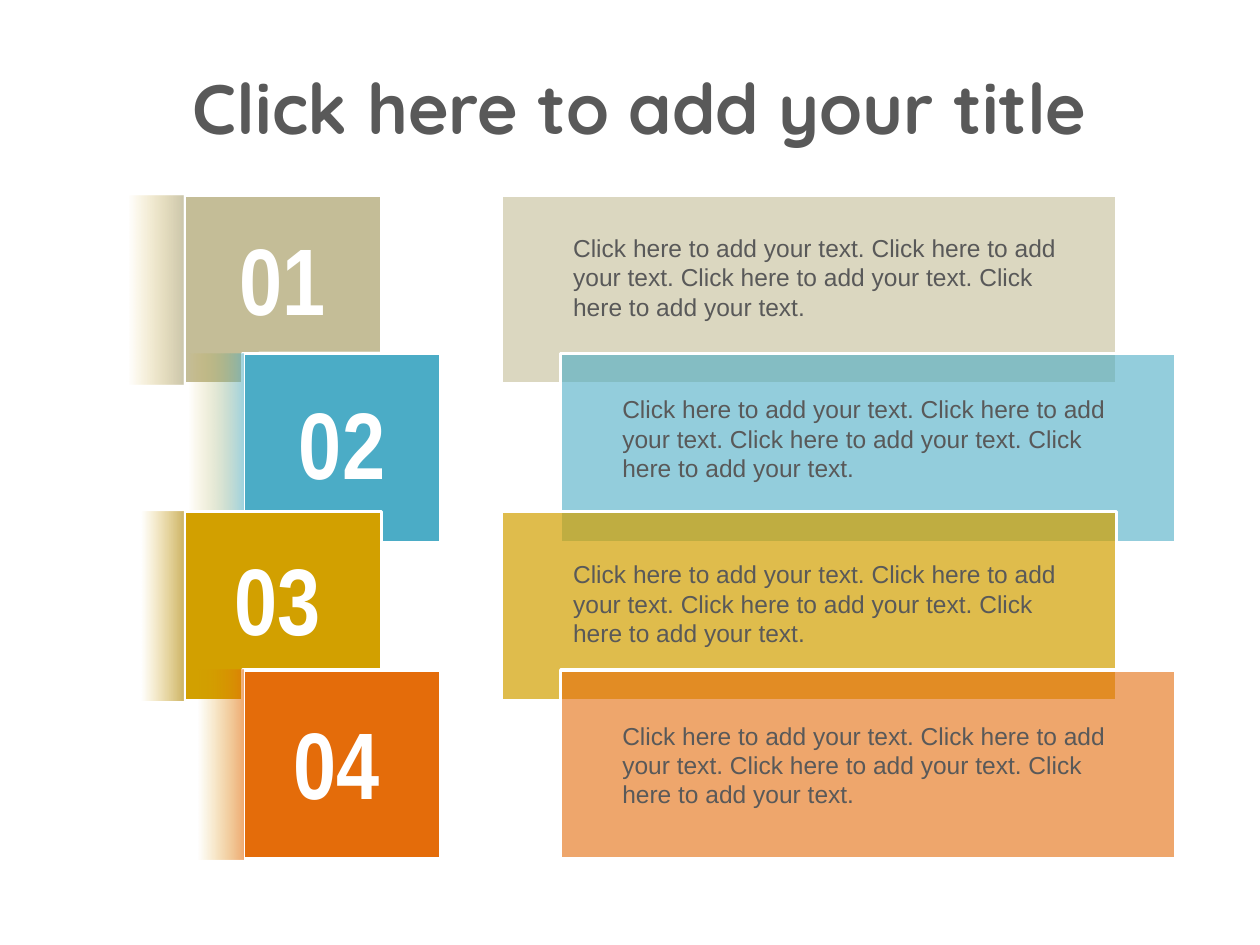
from typing import NamedTuple

from pptx import Presentation
from pptx.dml.color import RGBColor
from pptx.enum.shapes import MSO_SHAPE
from pptx.enum.text import MSO_AUTO_SIZE, PP_ALIGN
from pptx.oxml import parse_xml
from pptx.oxml.ns import nsdecls, qn
from pptx.util import Inches, Pt

COLORS = {
    "white": "FFFFFF", "text": "595959", "sand": "C4BD97", "olive": "948A54",
    "blue": "4BACC6", "gold": "D2A000", "bronze": "AC8300", "orange": "E46C0A",
    "fade": "D7A200",
}
BODY = " ".join(["Click here to add your text."] * 4)
TOP, STEP, HEIGHT, INDENT = 1.55, 1.256, 1.5, 0.47


class Band(NamedTuple):
    color: str
    fade_color: str
    fade_alpha: int
    fade_stop: float
    panel_alpha: int
    number_at: tuple[float, float]
    body_at: tuple[float, float]


class Style(NamedTuple):
    font: str
    size: int
    color: str
    bold: bool = False
    align: PP_ALIGN = PP_ALIGN.LEFT
    spacing: float = 1.0


BANDS = [
    Band("sand", "olive", 48, 0.30, 60, (1.73, 1.88), (4.45, 1.8)),
    Band("blue", "blue", 53, 0.30, 60, (2.2, 3.18), (4.84, 3.08)),
    Band("gold", "bronze", 60, 0.23, 70, (1.69, 4.42), (4.45, 4.39)),
    Band("orange", "orange", 57, 0.25, 60, (2.16, 5.72), (4.84, 5.67)),
]
TITLE = Style("Quicksand", 40, "text", True, PP_ALIGN.CENTER)
NUMBER = Style("Arial Narrow", 54, "white", True, PP_ALIGN.CENTER, 0.8)
COPY = Style("Arial", 14, "text")


def rgb(name: str) -> RGBColor:
    """Look up a named colour."""
    return RGBColor.from_string(COLORS[name])


def set_alphas(s, *alphas: int) -> None:
    """Set the opacity in percent of each fill colour in turn."""
    for color, alpha in zip(s._element.spPr.iter(qn("a:srgbClr")), alphas):
        color.append(parse_xml(f'<a:alpha {nsdecls("a")} val="{alpha * 1000}"/>'))


def add_rect(slide, left: float, top: float, width: float):
    """Add a band-high rectangle without a shadow."""
    s = slide.shapes.add_shape(MSO_SHAPE.RECTANGLE, Inches(left), Inches(top),
                               Inches(width), Inches(HEIGHT))
    s.shadow.inherit = False
    return s


def add_block(slide, left: float, top: float, width: float, color: str, alpha: int = 100):
    """Add a solid rectangle with a white outline."""
    s = add_rect(slide, left, top, width)
    s.fill.solid()
    s.fill.fore_color.rgb = rgb(color)
    if alpha < 100:
        set_alphas(s, alpha)
    s.line.color.rgb = rgb("white")
    s.line.width = Pt(2)
    return s


def add_fade(slide, left: float, top: float, band: Band) -> None:
    """Add the gradient that fades out to the left of a tile."""
    s = add_rect(slide, left, top, 1.46)
    s.fill.gradient()
    s.fill.gradient_angle = 180
    stops = [(0, band.fade_color), (band.fade_stop, "fade")]
    for stop, (position, color) in zip(s.fill.gradient_stops, stops):
        stop.position = position
        stop.color.rgb = rgb(color)
    set_alphas(s, band.fade_alpha, 0)
    s.line.fill.background()


def add_glow(s) -> None:
    """Give a tile a white shadow to its right."""
    s._element.spPr.find(qn("a:effectLst")).append(parse_xml(
        f'<a:outerShdw {nsdecls("a")} blurRad="0" dist="{Pt(9)}" dir="0">'
        f'<a:srgbClr val="{COLORS["white"]}"><a:alpha val="80000"/></a:srgbClr>'
        '</a:outerShdw>'))


def add_text(slide, at: tuple[float, float], size: tuple[float, float],
             text: str, style: Style) -> None:
    """Add a wrapped text box in one style."""
    tf = slide.shapes.add_textbox(*map(Inches, at + size)).text_frame
    tf.word_wrap = True
    tf.auto_size = MSO_AUTO_SIZE.SHAPE_TO_FIT_TEXT
    p = tf.paragraphs[0]
    p.text = text
    p.alignment = style.align
    p.line_spacing = style.spacing
    p.font.name = style.font
    p.font.size = Pt(style.size)
    p.font.bold = style.bold
    p.font.color.rgb = rgb(style.color)


def main() -> None:
    """Build the slide and save it."""
    prs = Presentation()
    prs.slide_width, prs.slide_height = Inches(10), Inches(7.5)
    slide = prs.slides.add_slide(prs.slide_layouts[6])
    for i, band in enumerate(BANDS):
        left, top = INDENT * (i % 2), TOP + STEP * i
        tile = add_block(slide, left + 1.46, top, 1.57, band.color)
        if band.color == "blue":
            add_glow(tile)
        add_fade(slide, left, top, band)
        add_block(slide, left + 3.98, top, 4.88, band.color, band.panel_alpha)
    for i, band in enumerate(BANDS, 1):
        add_text(slide, band.number_at, (1.03, 0.83), f"{i:02}", NUMBER)
        add_text(slide, band.body_at, (4.18, 0.81), BODY, COPY)
    add_text(slide, (1.21, 0.46), (7.73, 0.77), "Click here to add your title", TITLE)
    prs.save("out.pptx")


if __name__ == "__main__":
    main()
